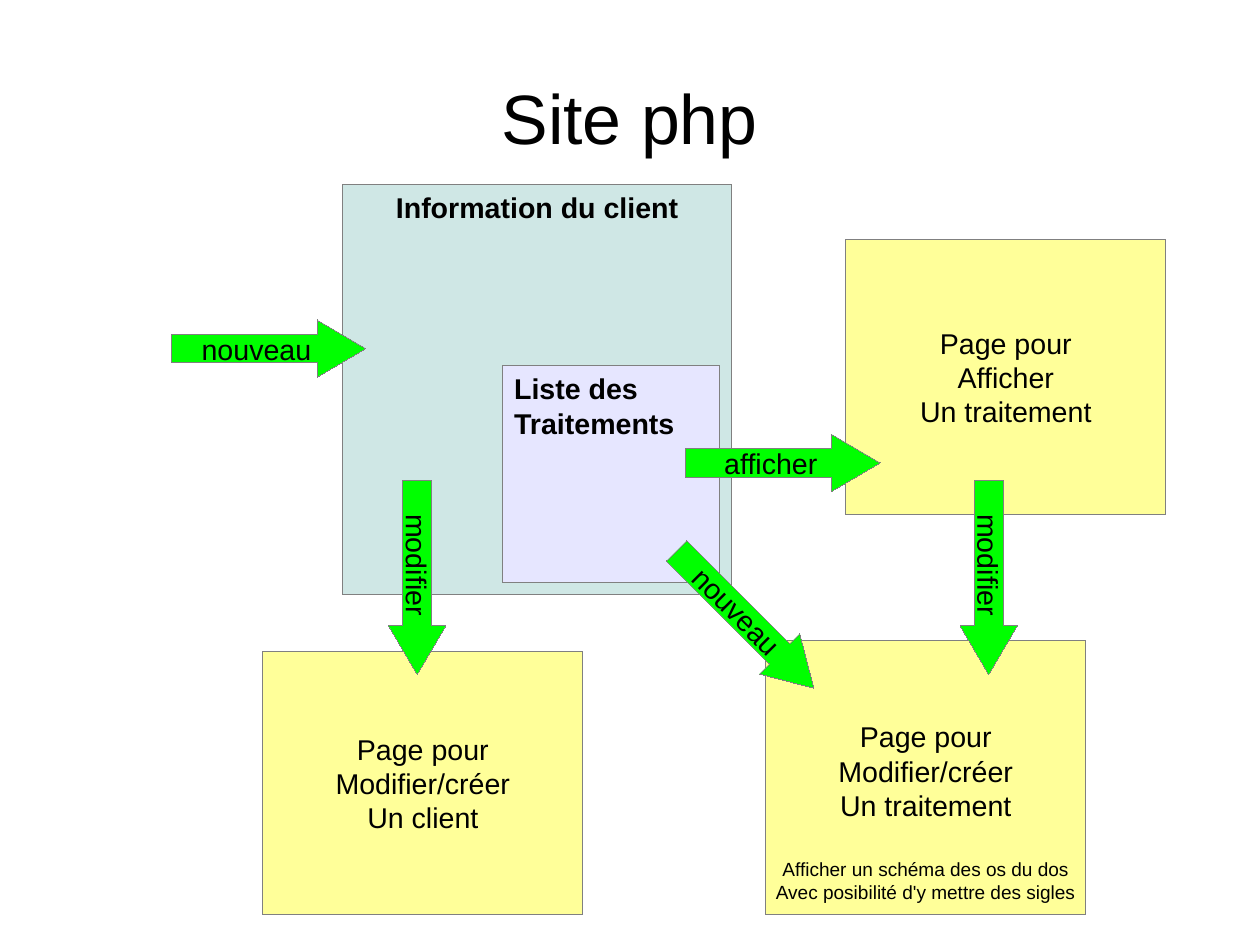
from pptx import Presentation
from pptx import util as u
from pptx.dml.color import RGBColor
from pptx.enum import shapes, text

COLORS = {"text": "000000", "outline": "808080", "client": "CFE7E5",
          "list": "E6E6FF", "page": "FFFF99", "arrow": "00FF00"}
TOP, MIDDLE, BOTTOM = (text.MSO_ANCHOR.TOP, text.MSO_ANCHOR.MIDDLE,
                       text.MSO_ANCHOR.BOTTOM)
LEFT, CENTER = text.PP_ALIGN.LEFT, text.PP_ALIGN.CENTER


def write(tf, lines, size, align=CENTER, anchor=MIDDLE, bold=False):
    """Fill a text frame with one paragraph per line and format it."""
    tf.text = "\n".join(lines)
    tf.vertical_anchor = anchor
    for p in tf.paragraphs:
        p.alignment = align
        for r in p.runs:
            r.font.name = "Arial"
            r.font.size = u.Pt(size)
            r.font.bold = bold
            r.font.color.rgb = RGBColor.from_string(COLORS["text"])


def add_block(kind, box, color, lines, **style):
    """Add a filled, hairline-outlined shape with 18 pt text."""
    sp = s.shapes.add_shape(kind, *map(u.Inches, box))
    sp.shadow.inherit = False
    sp.fill.solid()
    sp.fill.fore_color.rgb = RGBColor.from_string(COLORS[color])
    sp.line.color.rgb = RGBColor.from_string(COLORS["outline"])
    # line.width = 0 would drop the attribute and fall back to the theme width
    sp.element.spPr.get_or_add_ln().set("w", "0")
    sp.text_frame.word_wrap = False
    write(sp.text_frame, lines, 18, **style)
    return sp


# A page of 28 by 21 cm
prs = Presentation()
prs.slide_width = u.Inches(28 / 2.54)
prs.slide_height = u.Inches(21 / 2.54)
prs.element.sldSz.attrib.pop("type", None)
s = prs.slides.add_slide(prs.slide_layouts[5])

title = s.shapes.title
title.left, title.top = u.Inches(0.55), u.Inches(0.33)
title.width, title.height = u.Inches(9.92), u.Inches(1.38)
tf = title.text_frame
tf.margin_left = tf.margin_right = tf.margin_top = tf.margin_bottom = 0
write(tf, ["Site php"], 44)

# Client record, its treatment list and the pages
RECT = shapes.MSO_SHAPE.RECTANGLE
add_block(RECT, (3, 1.61, 3.4, 3.59), "client", ["Information du client"],
          anchor=TOP, bold=True)
add_block(RECT, (4.4, 3.2, 1.9, 1.9), "list", ["Liste des", "Traitements"],
          align=LEFT, anchor=TOP, bold=True)
add_block(RECT, (2.3, 5.7, 2.8, 2.3), "page",
          ["Page pour", "Modifier/créer", "Un client"])
add_block(RECT, (7.4, 2.1, 2.8, 2.4), "page",
          ["Page pour", "Afficher", "Un traitement"])
edit_page = add_block(RECT, (6.7, 5.6, 2.8, 2.4), "page",
                      ["Page pour", "Modifier/créer", "Un traitement",
                       "Afficher un schéma des os du dos",
                       "Avec posibilité d'y mettre des sigles"],
                      anchor=BOTTOM)
edit_page.text_frame.margin_bottom = u.Inches(0.1)
details = edit_page.text_frame.paragraphs[3:]
details[0].space_before = u.Pt(22)
for p in details:
    p.runs[0].font.size = u.Pt(12)

# Actions: label, left, top, rotation
for label, left, top, angle in [
    ("nouveau", 5.67, 5.17, 45),
    ("nouveau", 1.5, 2.8, 0),
    ("modifier", 2.8, 4.8, 90),
    ("afficher", 6, 3.8, 0),
    ("modifier", 7.8, 4.8, 90),
]:
    arrow = add_block(shapes.MSO_SHAPE.RIGHT_ARROW, (left, top, 1.7, 0.5),
                      "arrow", [label])
    arrow.adjustments[1] = 0.85
    arrow.rotation = angle

prs.save("out.pptx")
